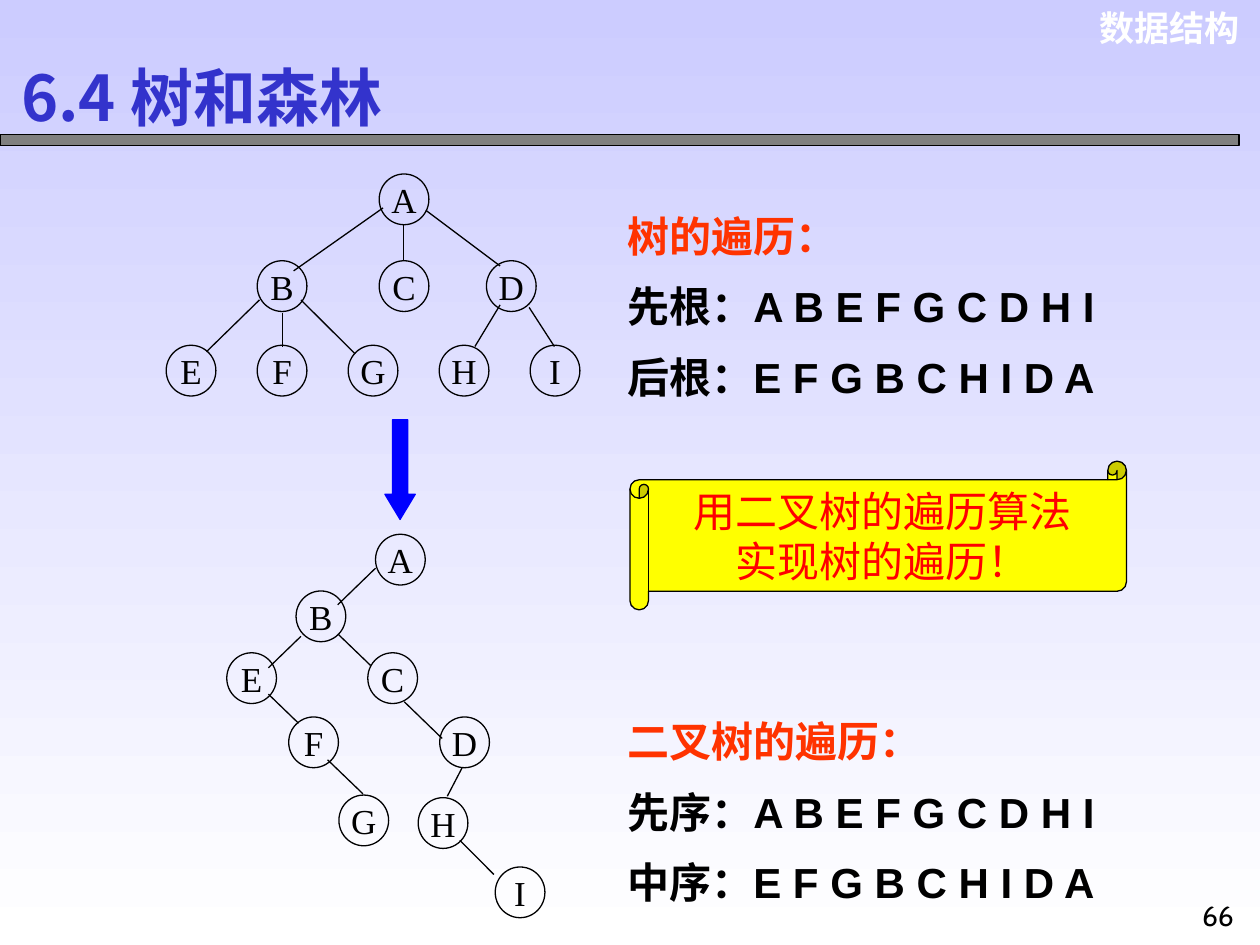
"""Build the slide comparing tree traversal with binary tree traversal."""
from lxml.etree import SubElement
from pptx import Presentation
from pptx.dml.color import RGBColor
from pptx.enum.shapes import MSO_CONNECTOR as Connector, MSO_SHAPE as Shape
from pptx.enum.text import MSO_ANCHOR as Anchor, PP_ALIGN as Align
from pptx.oxml.ns import qn
from pptx.util import Pt


def color(hex_code):
    """Return the colour for a hex string."""
    return RGBColor.from_string(hex_code)


def write(shape, lines, size, colors, font="Arial", bold=False, align=Align.LEFT,
          anchor=Anchor.TOP, spacing=None, wrap=False):
    """Write one paragraph per line; the last colour applies to all further lines."""
    frame = shape.text_frame
    frame.word_wrap = wrap
    frame.vertical_anchor = anchor
    frame.text = "\n".join(lines)
    for index, paragraph in enumerate(frame.paragraphs):
        paragraph.alignment = align
        paragraph.line_spacing = spacing
        paragraph.space_before = Pt(0)
        paragraph.font.name = font
        paragraph.font.size = Pt(size)
        paragraph.font.bold = bold
        paragraph.font.color.rgb = color(colors[min(index, len(colors) - 1)])


presentation = Presentation()
presentation.slide_width, presentation.slide_height = Pt(720), Pt(540)
slide = presentation.slides.add_slide(presentation.slide_layouts[5])
background = slide.background.fill
background.gradient()
background.gradient_angle = 270
for stop, hex_code, position in zip(background.gradient_stops, ("CCCCFF", "FFFFFF"), (0, 1)):
    stop.color.rgb = color(hex_code)
    stop.position = position

title = slide.shapes.title
title.left, title.top, title.width, title.height = Pt(5), Pt(34.6), Pt(249), Pt(41)
write(title, ["6.4 树和森林"], 36, ["3333CC"], font="Noto Sans CJK SC", bold=True,
      anchor=Anchor.MIDDLE)

course = slide.shapes.add_textbox(Pt(617), Pt(0), Pt(98.6), Pt(31.7))
write(course, ["数据结构"], 20, ["FFFFFF"], bold=True, align=Align.RIGHT, wrap=True)

level_2, level_3, step = 149, 197.3, 52
general_nodes = {"A": (216.7, 99.4), "B": (147, level_2), "C": (216.7, level_2),
                 "D": (278, level_2)}
general_nodes.update({name: (95 + step * index, level_3) for index, name in enumerate("EFGHI")})
general_edges = [
    (230.4, 128.2, 230.4, 149), (218.9, 118.8, 167.8, 154.8), (243.4, 120.2, 285.8, 152),
    (161.3, 178.6, 161.3, 198), (148.3, 171.4, 118, 201), (172, 171.4, 203, 202.3),
    (285.8, 174.2, 271.4, 198), (302.4, 175.7, 316.8, 198),
]
binary_nodes = {
    "A": (214.6, 305.3), "B": (169.2, 337.7), "C": (210.2, 373), "D": (251.3, 409.7),
    "E": (129.6, 373), "F": (165, 409.7), "G": (193.7, 454.3), "H": (239, 455.8),
    "I": (283, 495.4),
}
binary_edges = [
    (214.6, 324.7, 193, 345.6), (172, 363.6, 153.4, 381.6), (153.4, 396.7, 170.6, 413.3),
    (187.2, 434.2, 207.4, 453.6), (193, 362.2, 211.7, 380.2), (231, 401, 252.7, 422),
    (264.2, 438.5, 255.6, 455), (262.8, 480.2, 282.2, 499.7),
]
for nodes, edges in ((general_nodes, general_edges), (binary_nodes, binary_edges)):
    tree = slide.shapes.add_group_shape()
    for name, (left, top) in nodes.items():
        node = tree.shapes.add_shape(Shape.OVAL, Pt(left), Pt(top), Pt(28.4), Pt(29))
        node.shadow.inherit = False
        node.fill.background()
        node.line.color.rgb = color("000000")
        node.line.width = Pt(0.75)
        write(node, [name], 20, ["000000"], font="Times New Roman", align=Align.CENTER,
              anchor=Anchor.MIDDLE)
    for ends in edges:
        edge = tree.shapes.add_connector(Connector.STRAIGHT, *map(Pt, ends))
        edge.line.color.rgb = color("000000")
        edge.line.width = Pt(0.75)
        SubElement(edge._element.spPr, qn("a:effectLst"))

traversals = [
    (105, ["树的遍历：", "先根：A B E F G C D H I", "后根：E F G B C H I D A"]),
    (394, ["二叉树的遍历：", "先序：A B E F G C D H I", "中序：E F G B C H I D A"]),
]
for top, lines in traversals:
    traversal = slide.shapes.add_textbox(Pt(351.4), Pt(top), Pt(288), Pt(128))
    write(traversal, lines, 24, ["FF3300", "000000"], bold=True, spacing=1.4)

filled_shapes = [
    (Shape.RECTANGLE, (0, 77, 708, 6), "808080", "000000", []),
    (Shape.HORIZONTAL_SCROLL, (360, 263.5, 283.7, 85), "FFFF00", "000000",
     ["用二叉树的遍历算法", "实现树的遍历！"]),
    (Shape.DOWN_ARROW, (220, 239.8, 17.3, 57), "0000FF", "0000FF", []),
]
for kind, box, fill, outline, lines in filled_shapes:
    shape = slide.shapes.add_shape(kind, *map(Pt, box))
    shape.shadow.inherit = False
    shape.fill.solid()
    shape.fill.fore_color.rgb = color(fill)
    shape.line.color.rgb = color(outline)
    shape.line.width = Pt(0.75)
    if kind == Shape.DOWN_ARROW:
        shape.adjustments[1] = 0.83
    if lines:
        write(shape, lines, 24, ["FF0000"], align=Align.CENTER, anchor=Anchor.MIDDLE)

page_number = slide.shapes.add_textbox(Pt(678), Pt(510), Pt(36), Pt(30))
write(page_number, ["66"], 16, ["000000"], font="Cabin", align=Align.CENTER, wrap=True)

presentation.save("out.pptx")
